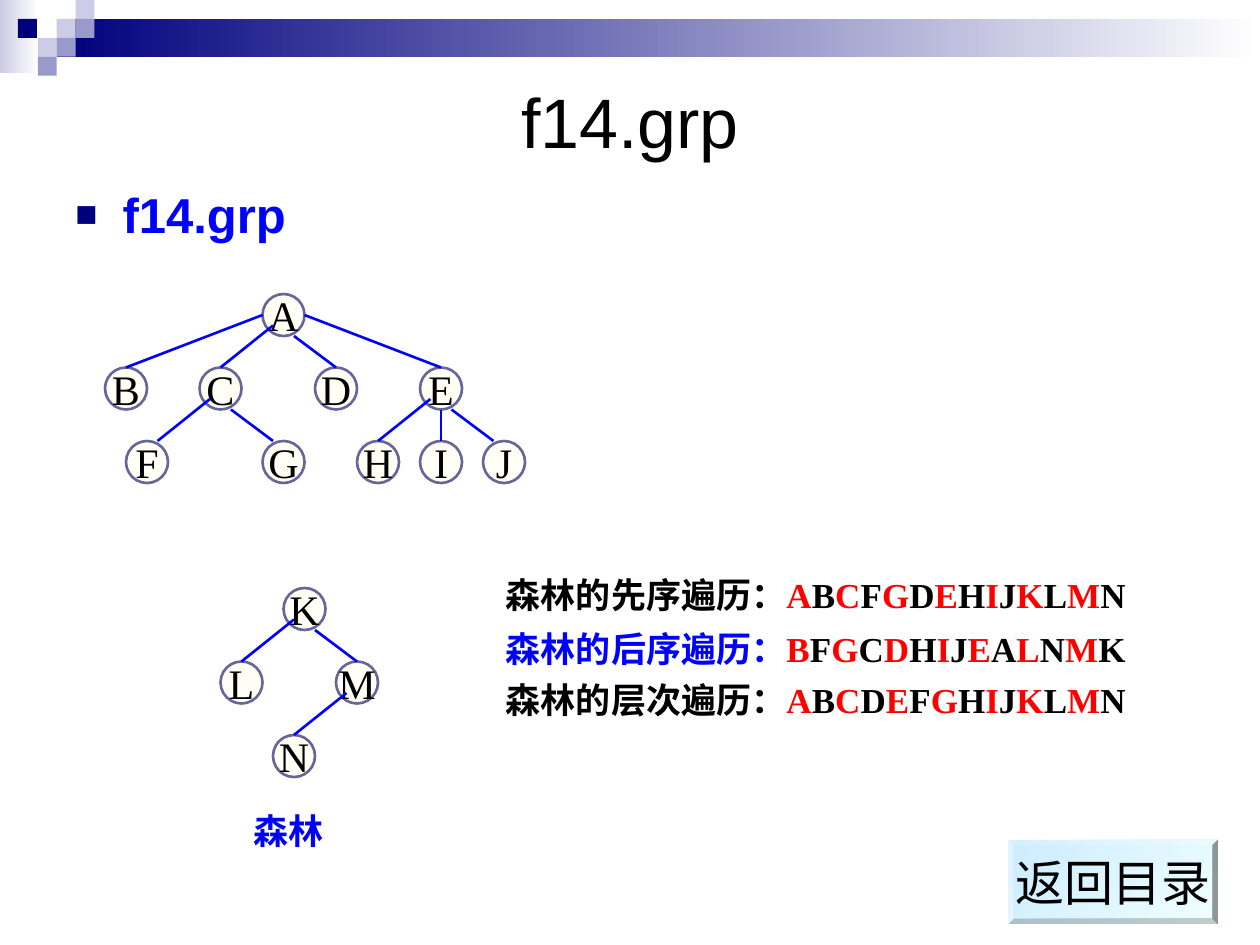
from dataclasses import dataclass
from itertools import cycle

from lxml import etree
from pptx import Presentation
from pptx import util as u
from pptx.dml.color import RGBColor
from pptx.enum import shapes, text
from pptx.oxml import ns


@dataclass(frozen=True)
class Theme:
    navy: str = "00007D"
    violet: str = "9999CC"
    lilac: str = "CCCCE6"
    white: str = "FFFFFF"
    black: str = "000000"
    blue: str = "0000FF"
    red: str = "FF0000"
    ivory: str = "FFFFF5"
    slate: str = "666699"
    sky: str = "CCECFF"
    ice: str = "F0FFFF"
    sans: str = "Arial"
    serif: str = "Times New Roman"
    title: int = 40
    heading: int = 28
    letter: int = 24
    label: int = 20
    stroke: float = 1.5


class Painter:
    def __init__(self, theme, canvas):
        self.theme = theme
        self.canvas = canvas

    def group(self):
        return Painter(self.theme, self.canvas.add_group_shape().shapes)

    def shape(self, kind, box, fill, angle=0, outline=None):
        item = self.canvas.add_shape(kind, *map(u.Pt, box))
        item.shadow.inherit = False
        if isinstance(fill, tuple):
            item.fill.gradient()
            item.fill.gradient_angle = angle
            for stop, color in zip(item.fill.gradient_stops, fill):
                stop.color.rgb = RGBColor.from_string(color)
        else:
            item.fill.solid()
            item.fill.fore_color.rgb = RGBColor.from_string(fill)
        if outline:
            item.line.color.rgb = RGBColor.from_string(outline)
            item.line.width = u.Pt(self.theme.stroke)
        else:
            item.line.fill.background()
        return item

    def add_text(self, item, runs, size, font, bold=False, center=False,
                 middle=False, wrap=True, before=0):
        frame = item.text_frame
        frame.word_wrap = wrap
        frame.vertical_anchor = (
            text.MSO_ANCHOR.MIDDLE if middle else text.MSO_ANCHOR.TOP)
        paragraph = frame.paragraphs[0]
        paragraph.alignment = text.PP_ALIGN.CENTER if center else text.PP_ALIGN.LEFT
        paragraph.space_before = u.Pt(before)
        for words, color in runs:
            run = paragraph.add_run()
            run.text = words
            run.font.size = u.Pt(size)
            run.font.name = font
            run.font.bold = bold
            run.font.color.rgb = RGBColor.from_string(color)
        return paragraph

    def textbox(self, box, runs, size, font, **style):
        return self.add_text(self.canvas.add_textbox(*map(u.Pt, box)),
                             runs, size, font, **style)

    def bullet(self, paragraph, indent):
        props = paragraph._p.get_or_add_pPr()
        props.set("marL", str(u.Pt(indent)))
        props.set("indent", str(-u.Pt(indent)))
        color = etree.SubElement(props, ns.qn("a:buClr"))
        etree.SubElement(color, ns.qn("a:srgbClr"), val=self.theme.navy)
        etree.SubElement(props, ns.qn("a:buSzPct"), val="75000")
        etree.SubElement(props, ns.qn("a:buFont"), typeface=self.theme.sans)
        etree.SubElement(props, ns.qn("a:buChar"), char="■")

    def line(self, start, end):
        edge = self.canvas.add_connector(
            shapes.MSO_CONNECTOR.STRAIGHT, *map(u.Pt, (*start, *end)))
        edge.line.color.rgb = RGBColor.from_string(self.theme.blue)
        edge.line.width = u.Pt(self.theme.stroke)
        etree.SubElement(edge._element.spPr, ns.qn("a:effectLst"))

    def tree(self, nodes, edges):
        t = self.theme
        part = self.group()
        for letter, (left, top) in nodes.items():
            node = part.shape(shapes.MSO_SHAPE.OVAL, (left, top, NODE, NODE),
                              t.ivory, outline=t.slate)
            part.add_text(node, [(letter, t.black)], t.letter, t.serif,
                          center=True, middle=True, wrap=False)
        for (parent, child), (exit_x, exit_y), entry_x in edges:
            left, top = nodes[parent]
            child_left, child_top = nodes[child]
            part.line((left + exit_x, top + exit_y),
                      (child_left + entry_x, child_top))


NODE = 24
CELL = 10.8
MID = NODE / 2
WEST, EAST, SOUTH = (0, MID), (NODE, MID), (MID, NODE)
LOWER_LEFT, LOWER_RIGHT = (6, 18), (18, 24)

UPPER_NODES = {
    "A": (150, 168),
    "B": (60, 210), "C": (114, 210), "D": (180, 210), "E": (240, 210),
    "F": (72, 252), "G": (150, 252), "H": (204, 252), "I": (240, 252),
    "J": (276, 252),
}
UPPER_EDGES = [
    ("AB", WEST, MID), ("AE", EAST, MID),
    ("AC", LOWER_LEFT, MID), ("AD", LOWER_RIGHT, MID),
    ("CF", LOWER_LEFT, 18), ("CG", LOWER_RIGHT, 6),
    ("EH", LOWER_LEFT, MID), ("EJ", LOWER_RIGHT, 6), ("EI", SOUTH, MID),
]
LOWER_NODES = {"K": (162, 336), "L": (126, 378), "M": (192, 378), "N": (156, 420)}
LOWER_EDGES = [("KL", LOWER_LEFT, MID), ("KM", LOWER_RIGHT, MID),
               ("MN", LOWER_LEFT, MID)]


def main():
    t = Theme()
    deck = Presentation()
    deck.slide_width, deck.slide_height = u.Pt(720), u.Pt(540)
    slide = deck.slides.add_slide(deck.slide_layouts[6])
    painter = Painter(t, slide.shapes)

    banner = painter.group()
    rect = shapes.MSO_SHAPE.RECTANGLE
    banner.shape(rect, (0, 0, 22, 42), (t.lilac, t.white))
    banner.shape(rect, (3 * CELL, CELL, 720 - 3 * CELL, 2 * CELL),
                 (t.navy, t.white))
    for column, row, color in [
        (3, 1, t.lilac), (4, 0, t.lilac), (4, 1, t.violet), (2, 2, t.lilac),
        (0.95, 1, t.navy), (3, 2, t.violet), (2, 3, t.violet),
    ]:
        banner.shape(rect, (column * CELL, row * CELL, CELL, CELL), color)

    painter.textbox((36, 36, 648, 66), [("f14.grp", t.black)], t.title, t.sans,
                    center=True, middle=True)
    topic = painter.textbox((36, 102, 648, 384), [("f14.grp", t.blue)],
                            t.heading, t.sans, bold=True, before=7)
    painter.bullet(topic, 27)
    painter.textbox((78, 459, 174, 31.5), [("森林", t.blue)], t.label, t.serif,
                    bold=True, center=True, before=12.5)

    painter.tree(UPPER_NODES, UPPER_EDGES)
    for top, caption, color, order in [
        (324, "森林的先序遍历：", t.black, "ABCFGDEHIJKLMN"),
        (355.2, "森林的后序遍历：", t.blue, "BFGCDHIJEALNMK"),
        (384, "森林的层次遍历：", t.black, "ABCDEFGHIJKLMN"),
    ]:
        visits = zip(order, cycle((t.red, t.black)))
        painter.textbox((282, top, 417, 31.5), [(caption, color), *visits],
                        t.label, t.serif, bold=True, before=12.5)
    painter.tree(LOWER_NODES, LOWER_EDGES)

    back = painter.shape(shapes.MSO_SHAPE.BEVEL, (576, 480, 120, 48),
                         (t.sky, t.ice), angle=315)
    back.adjustments[0] = 0.06
    painter.add_text(back, [("返回目录", t.black)], t.heading, t.sans,
                     center=True, middle=True, wrap=False)

    deck.save("out.pptx")


if __name__ == "__main__":
    main()
